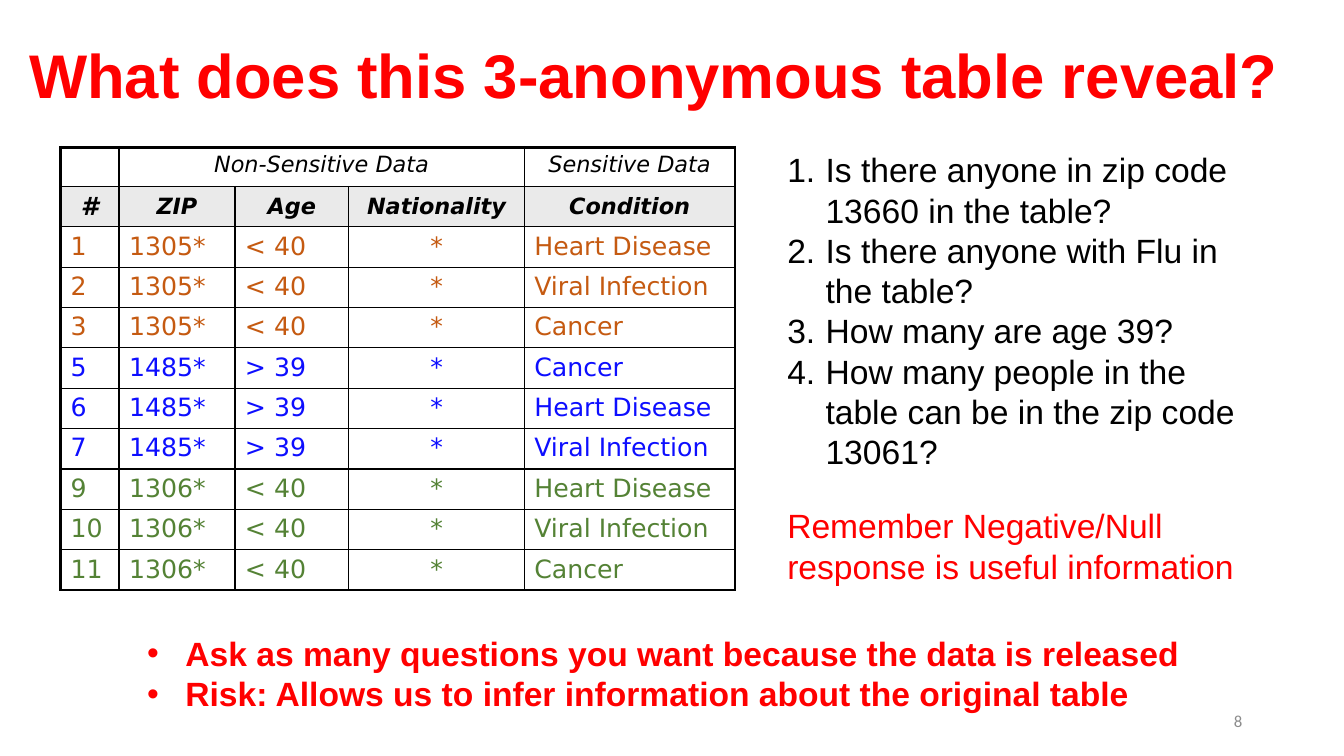
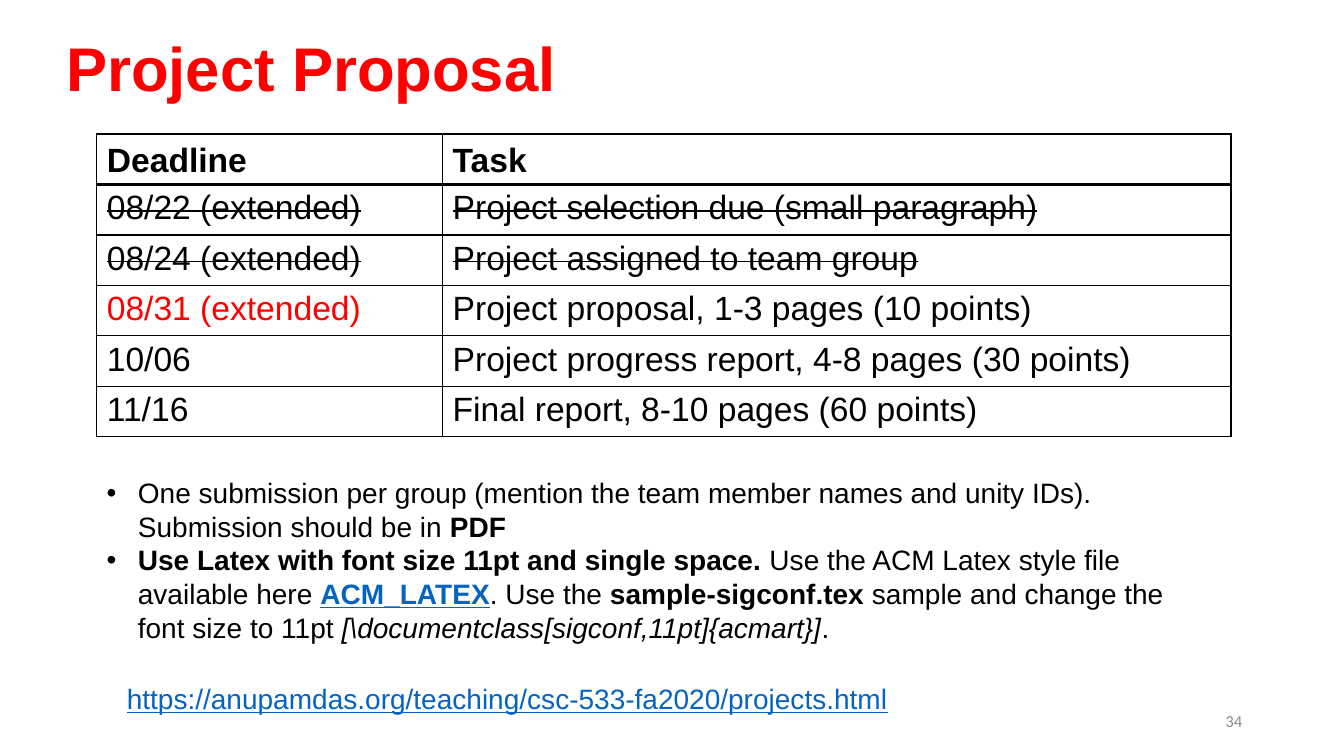
from lxml import etree
from pptx import Presentation
from pptx.dml.color import RGBColor
from pptx.enum.text import MSO_ANCHOR, PP_ALIGN
from pptx.oxml.ns import qn
from pptx.util import Emu, Pt

EMU_PER_PX = 9144

RED = RGBColor(0xFF, 0x00, 0x00)
BLACK = RGBColor(0x00, 0x00, 0x00)
GRAY = RGBColor(0x8C, 0x8C, 0x8C)
HEADER_FILL = RGBColor(0xEA, 0xEA, 0xEA)
ORANGE = RGBColor(0xC5, 0x5A, 0x11)
BLUE = RGBColor(0x0D, 0x0E, 0xFF)
GREEN = RGBColor(0x54, 0x82, 0x35)
LINK_BLUE = RGBColor(0x05, 0x63, 0xC1)

LEFT, CENTER, RIGHT = PP_ALIGN.LEFT, PP_ALIGN.CENTER, PP_ALIGN.RIGHT
TOP, MIDDLE, BOTTOM = MSO_ANCHOR.TOP, MSO_ANCHOR.MIDDLE, MSO_ANCHOR.BOTTOM

BODY_FONT = "Arial"
TABLE_FONT = "DejaVu Sans"
NUMBER_FONT = "Calibri"

DISC = ("a:buChar", {"char": "•"})
NUMBERED = ("a:buAutoNum", {"type": "arabicPeriod"})


def px(value):
    return Emu(value * EMU_PER_PX)


class Deck:
    def __init__(self, width, height):
        self.presentation = Presentation()
        self.presentation.slide_width = px(width)
        self.presentation.slide_height = px(height)
        self.slide = None

    def new_slide(self, title, title_box, number):
        self.slide = self.presentation.slides.add_slide(self.presentation.slide_layouts[6])
        frame = self.text_box(title_box, MIDDLE)
        paragraph = self.paragraph(frame, title, size=44, color=RED, bold=True)
        paragraph.line_spacing = 0.9
        frame = self.text_box((942, 695, 300, 40), MIDDLE)
        paragraph = self.paragraph(frame, number, size=12, color=GRAY, font=NUMBER_FONT)
        paragraph.alignment = RIGHT

    def text_box(self, box, anchor=TOP):
        frame = self.slide.shapes.add_textbox(*map(px, box)).text_frame
        frame.word_wrap = True
        frame.vertical_anchor = anchor
        return frame

    def paragraph(self, frame, content, bullet=None, indent=0, **style):
        paragraph = frame.paragraphs[-1]
        if paragraph.runs:
            paragraph = frame.add_paragraph()
        if bullet:
            self.bullet(paragraph, bullet, indent)
        pieces = [(content, {})] if isinstance(content, str) else content
        for text, extra in pieces:
            run = paragraph.add_run()
            run.text = text
            self.format(run, **{**style, **extra})
        return paragraph

    def bullet(self, paragraph, bullet, indent):
        properties = paragraph._p.get_or_add_pPr()
        properties.set("marL", str(px(indent)))
        properties.set("indent", str(px(-indent)))
        etree.SubElement(properties, qn("a:buFont"), typeface=BODY_FONT)
        tag, attributes = bullet
        etree.SubElement(properties, qn(tag), attributes)

    def format(self, run, size=24, color=BLACK, font=BODY_FONT, bold=False,
               italic=False, underline=False, strike=False):
        run.font.name = font
        run.font.size = Pt(size)
        run.font.color.rgb = color
        run.font.bold = bold
        run.font.italic = italic
        run.font.underline = underline
        if strike:
            run._r.get_or_add_rPr().set("strike", "sngStrike")

    def table(self, left, top, widths, row_height, row_count):
        frame = self.slide.shapes.add_table(
            row_count, len(widths), px(left), px(top),
            px(sum(widths)), px(row_height * row_count))
        table = frame.table
        table.first_row = table.horz_banding = False
        for column, width in zip(table.columns, widths):
            column.width = px(width)
        for row in table.rows:
            row.height = px(row_height)
        return table

    def cell(self, cell, text, align=LEFT, anchor=TOP, fill=None, thick=None, **style):
        for side in "LRTB":
            self.border(cell, side, (thick or {}).get(side, 1))
        if fill is None:
            cell.fill.background()
        else:
            cell.fill.solid()
            cell.fill.fore_color.rgb = fill
        cell.vertical_anchor = anchor
        paragraph = cell.text_frame.paragraphs[0]
        if text:
            self.paragraph(cell.text_frame, text, **style)
            paragraph.alignment = align
        else:
            paragraph._p.get_or_add_endParaRPr().set("sz", str(style["size"] * 100))

    def border(self, cell, side, points):
        properties = cell._tc.get_or_add_tcPr()
        line = etree.SubElement(properties, qn("a:ln" + side), w=str(int(Pt(points))))
        fill = etree.SubElement(line, qn("a:solidFill"))
        etree.SubElement(fill, qn("a:srgbClr"), val=str(BLACK))


def anonymity_slide(deck):
    deck.new_slide("What does this 3-anonymous table reveal?", (19, 5, 1269, 145), "8")

    headings = [
        ["", "Non-Sensitive Data", "", "", "Sensitive Data"],
        ["#", "ZIP", "Age", "Nationality", "Condition"],
    ]
    groups = [
        ("1305*", "< 40", ORANGE,
         [("1", "Heart Disease"), ("2", "Viral Infection"), ("3", "Cancer")]),
        ("1485*", "> 39", BLUE,
         [("5", "Cancer"), ("6", "Heart Disease"), ("7", "Viral Infection")]),
        ("1306*", "< 40", GREEN,
         [("9", "Heart Disease"), ("10", "Viral Infection"), ("11", "Cancer")]),
    ]
    rows = [
        (headings[0], dict(size=16, italic=True, align=CENTER)),
        (headings[1], dict(size=16, italic=True, bold=True, align=CENTER,
                           anchor=MIDDLE, fill=HEADER_FILL)),
    ]
    for zip_code, age, color, patients in groups:
        for number, condition in patients:
            rows.append(([number, zip_code, age, "*", condition], dict(size=18, color=color)))

    widths = [58, 115, 113, 174, 209]
    table = deck.table(60, 146, widths, 39, len(rows))
    table.cell(0, 1).merge(table.cell(0, 3))
    for row, (texts, row_style) in enumerate(rows):
        for column, text in enumerate(texts):
            style = dict(row_style)
            if text == "*":
                style["align"] = CENTER
            if text == "#":
                style["size"] = 18
            edges = {"T": row == 0, "L": column == 0, "R": column == len(widths) - 1}
            thick = {side: 2.25 for side, outer in edges.items() if outer}
            deck.cell(table.cell(row, column), text, thick=thick, font=TABLE_FONT, **style)

    questions = [
        "Is there anyone in zip code 13660 in the table?",
        "Is there anyone with Flu in the table?",
        "How many are age 39?",
        "How many people in the table can be in the zip code 13061?",
    ]
    frame = deck.text_box((771, 143, 469, 461))
    for question in questions:
        deck.paragraph(frame, question, NUMBERED, 38)
    reminder = deck.paragraph(
        frame, "Remember Negative/Null response is useful information", color=RED)
    reminder.space_before = Pt(24)

    frame = deck.text_box((136, 623, 1152, 91))
    for takeaway in (
        "Ask as many questions you want because the data is released",
        "Risk: Allows us to infer information about the original table",
    ):
        deck.paragraph(frame, takeaway, DISC, 38, color=RED, bold=True)


def proposal_slide(deck):
    deck.new_slide("Project Proposal", (56, 33, 1150, 77), "34")

    done = dict(strike=True)
    rows = [
        ("Deadline", "Task", dict(bold=True, anchor=BOTTOM, thick={"B": 2}), {}),
        ("08/22 (extended)", "Project selection due (small paragraph)", done, {}),
        ("08/24 (extended)", "Project assigned to team group", done, {}),
        ("08/31 (extended)", "Project proposal, 1-3 pages (10 points)", {}, dict(color=RED)),
        ("10/06", "Project progress report, 4-8 pages (30 points)", {}, {}),
        ("11/16", "Final report, 8-10 pages (60 points)", {}, {}),
    ]
    table = deck.table(96, 133, [343, 782], 47, len(rows))
    for row, (deadline, task, style, deadline_style) in enumerate(rows):
        if row == 1:
            style = {**style, "thick": {"T": 2}}
        deck.cell(table.cell(row, 0), deadline, **style, **deadline_style)
        deck.cell(table.cell(row, 1), task, **style)

    bold = dict(bold=True)
    link = dict(color=LINK_BLUE, underline=True)
    frame = deck.text_box((116, 671, 797, 44))
    deck.paragraph(
        frame, "https://anupamdas.org/teaching/csc-533-fa2020/projects.html", size=20, **link)

    instructions = [
        [
            ("One submission per group (mention the team member names and unity IDs). "
             "Submission should be in ", {}),
            ("PDF", bold),
        ],
        [
            ("Use Latex with font size 11pt and single space. ", bold),
            ("Use the ACM Latex style file available here ", {}),
            ("ACM_LATEX", {**link, **bold}),
            (". Use the ", {}),
            ("sample-sigconf.tex", bold),
            (" sample and change the font size to 11pt ", {}),
            ("[\\documentclass[sigconf,11pt]{acmart}]", dict(italic=True)),
            (".", {}),
        ],
    ]
    frame = deck.text_box((96, 467, 1100, 178))
    for instruction in instructions:
        deck.paragraph(frame, instruction, DISC, 31, size=20)


def main():
    deck = Deck(1333, 750)
    anonymity_slide(deck)
    proposal_slide(deck)
    deck.presentation.save("out.pptx")


if __name__ == "__main__":
    main()
